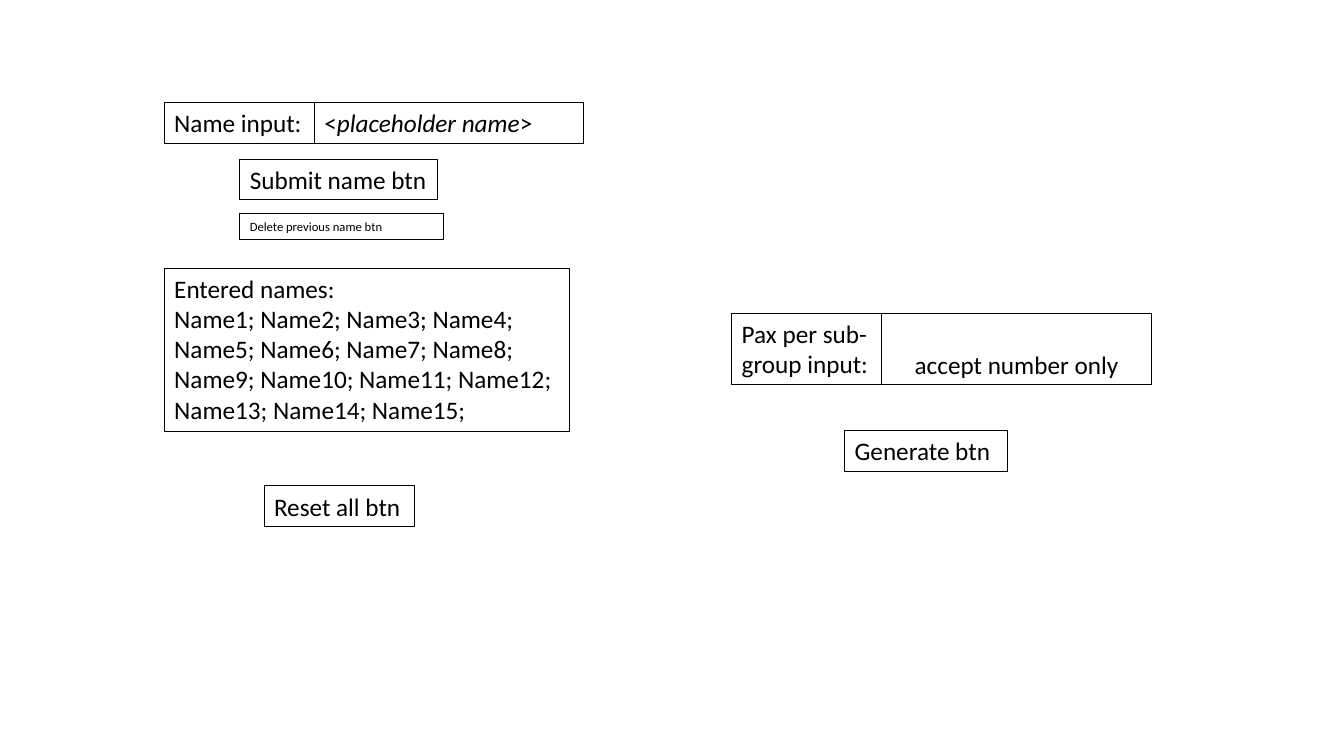
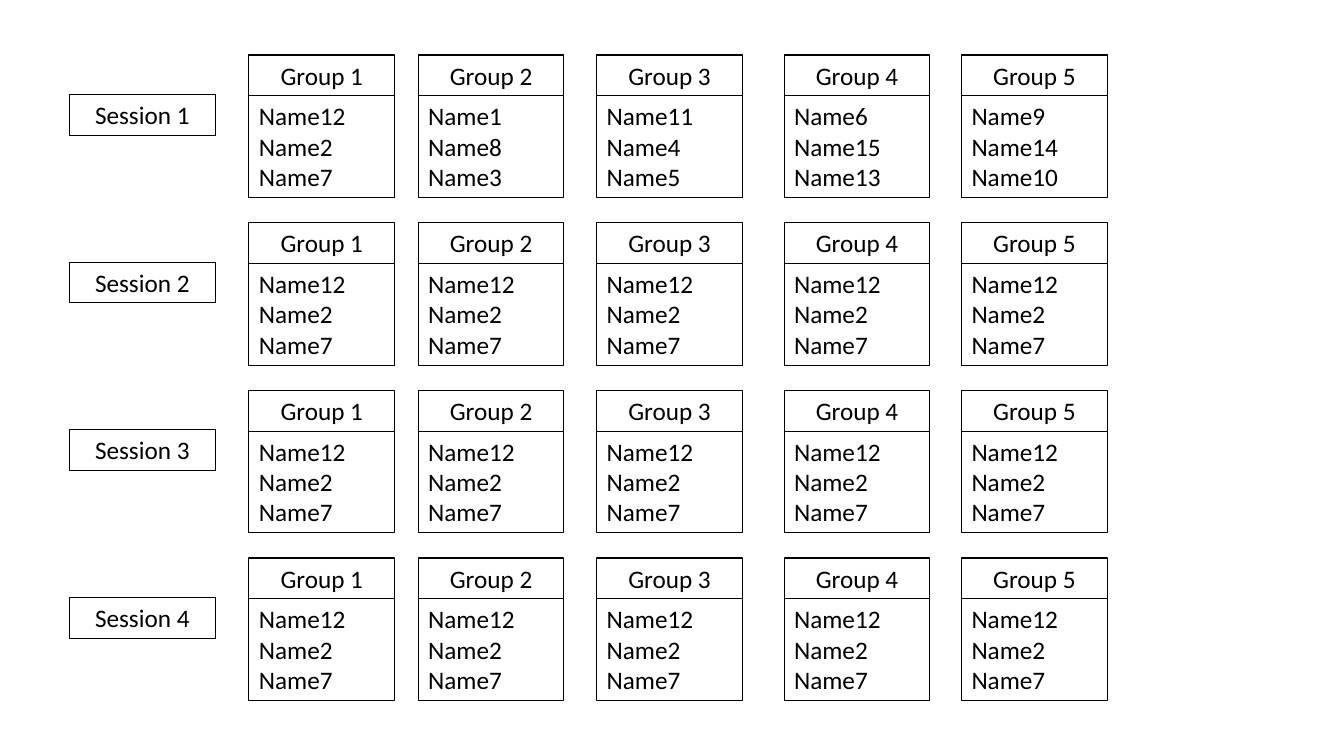
"""Builds two wireframe slides: the name-entry form and the generated session groups."""
from dataclasses import dataclass

from pptx import Presentation
from pptx.dml.color import RGBColor
from pptx.enum.shapes import MSO_SHAPE
from pptx.enum.text import MSO_ANCHOR as Anchor, MSO_AUTO_SIZE as AutoSize, PP_ALIGN as Align
from pptx.slide import Slide
from pptx.util import Emu, Inches, Pt


@dataclass(frozen=True)
class Theme:
    ink: RGBColor = RGBColor(0, 0, 0)
    font: str = "Calibri"
    body: float = 18
    small: float = 9
    outline: float = 0.75


@dataclass(frozen=True)
class Grid:
    columns: int = 160
    rows: int = 90
    cell: int = Inches(1) // 12

    def span(self, cells: float) -> Emu:
        return Emu(round(cells * self.cell))


@dataclass(frozen=True)
class Area:
    column: float
    row: float
    width: float
    height: float


@dataclass(frozen=True)
class Field:
    text: str
    area: Area
    size: float = 18
    align: Align = Align.LEFT
    anchor: Anchor = Anchor.TOP
    emphasis: str = ""


THEME = Theme()
GRID = Grid()
LINE, TWO_LINES, THREE_LINES = 4.85, 8.48, 12.12
LABEL_WIDTH, INPUT_WIDTH = 17.88, 32.04
FORM_LEFT, FORM_TOP = 19.56, 12.24
PAX_LEFT, PAX_TOP = 87.12, 37.32

ENTERED = "Entered names:\n" + " ".join(f"Name{number};" for number in range(1, 16))
FORM = (
    Field("Name input:", Area(FORM_LEFT, FORM_TOP, LABEL_WIDTH, LINE)),
    Field("Submit name btn", Area(28.56, 18.96, 23.52, LINE)),
    Field("Reset all btn", Area(31.44, 57.84, LABEL_WIDTH, LINE)),
    Field("<placeholder name>", Area(FORM_LEFT + LABEL_WIDTH, FORM_TOP, INPUT_WIDTH, LINE),
          emphasis="placeholder name"),
    Field("Delete previous name btn", Area(28.56, 25.44, 24.24, 3.03), size=THEME.small),
    Field("Generate btn", Area(100.56, 51.24, 19.44, LINE)),
    Field("Pax per sub-group input:", Area(PAX_LEFT, PAX_TOP, LABEL_WIDTH, TWO_LINES)),
    Field("accept number only", Area(PAX_LEFT + LABEL_WIDTH, PAX_TOP, INPUT_WIDTH, TWO_LINES),
          align=Align.CENTER, anchor=Anchor.BOTTOM),
    Field(ENTERED, Area(FORM_LEFT, 31.92, 48.24, 19.44)),
)

GROUP_COLUMNS = (29.64, 49.8, 71.04, 93.36, 114.48)
GROUP_WIDTH = 17.34
SESSION_COLUMN, SESSION_DROP = 8.28, 4.7
SESSION_TOP, SESSION_PITCH = 6.55, 19.96
FIRST_ROSTERS = ((12, 2, 7), (1, 8, 3), (11, 4, 5), (6, 15, 13), (9, 14, 10))
SAMPLE_ROSTERS = (FIRST_ROSTERS[0],) * len(GROUP_COLUMNS)
SESSIONS = (FIRST_ROSTERS, *(SAMPLE_ROSTERS,) * 3)


def draw_box(slide: Slide, text: str, area: Area, *, size: float = THEME.body,
             align: Align = Align.LEFT, anchor: Anchor = Anchor.TOP, emphasis: str = "") -> None:
    box = slide.shapes.add_shape(
        MSO_SHAPE.RECTANGLE, *map(GRID.span, (area.column, area.row, area.width, area.height)))
    box.shadow.inherit = False
    box.fill.background()
    box.line.color.rgb = THEME.ink
    box.line.width = Pt(THEME.outline)
    frame = box.text_frame
    frame.word_wrap = True
    frame.auto_size = AutoSize.SHAPE_TO_FIT_TEXT
    frame.vertical_anchor = anchor
    for index, line in enumerate(text.split("\n")):
        paragraph = frame.add_paragraph() if index else frame.paragraphs[0]
        paragraph.alignment = align
        pieces = line.partition(emphasis) if emphasis else (line,)
        for piece in filter(None, pieces):
            run = paragraph.add_run()
            run.text = piece
            run.font.name = THEME.font
            run.font.size = Pt(size)
            run.font.color.rgb = THEME.ink
            run.font.italic = piece == emphasis


def draw_form(slide: Slide) -> None:
    for field in FORM:
        draw_box(slide, field.text, field.area, size=field.size, align=field.align,
                 anchor=field.anchor, emphasis=field.emphasis)


def draw_session(slide: Slide, number: int, rosters: tuple[tuple[int, ...], ...]) -> None:
    top = SESSION_TOP + (number - 1) * SESSION_PITCH
    for group, (column, roster) in enumerate(zip(GROUP_COLUMNS, rosters), start=1):
        draw_box(slide, f"Group {group}", Area(column, top, GROUP_WIDTH, LINE), align=Align.CENTER)
        draw_box(slide, "\n".join(f"Name{member}" for member in roster),
                 Area(column, top + LINE, GROUP_WIDTH, THREE_LINES))
    draw_box(slide, f"Session {number}",
             Area(SESSION_COLUMN, top + SESSION_DROP, GROUP_WIDTH, LINE), align=Align.CENTER)


def main() -> None:
    deck = Presentation()
    deck.slide_width = GRID.span(GRID.columns)
    deck.slide_height = GRID.span(GRID.rows)
    blank = deck.slide_layouts.get_by_name("Blank")
    draw_form(deck.slides.add_slide(blank))
    schedule = deck.slides.add_slide(blank)
    for number, rosters in enumerate(SESSIONS, start=1):
        draw_session(schedule, number, rosters)
    deck.save("out.pptx")


main()
